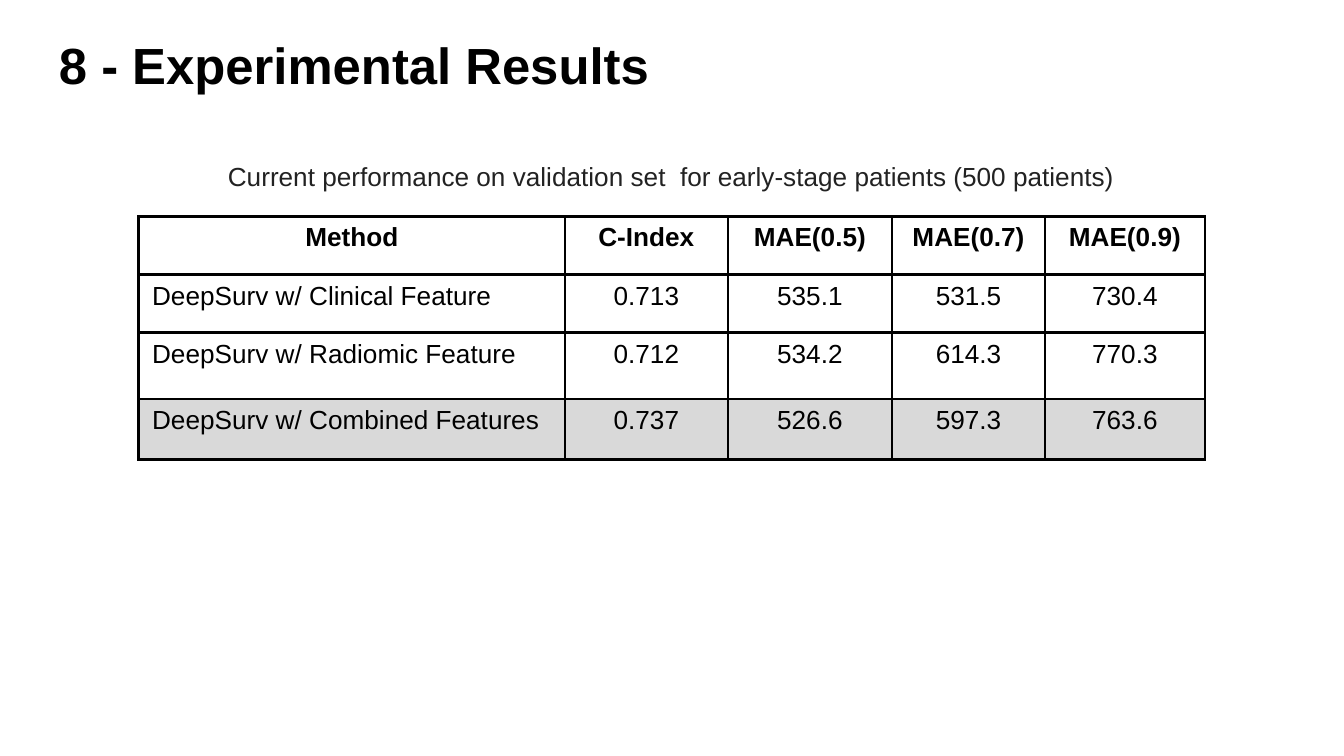
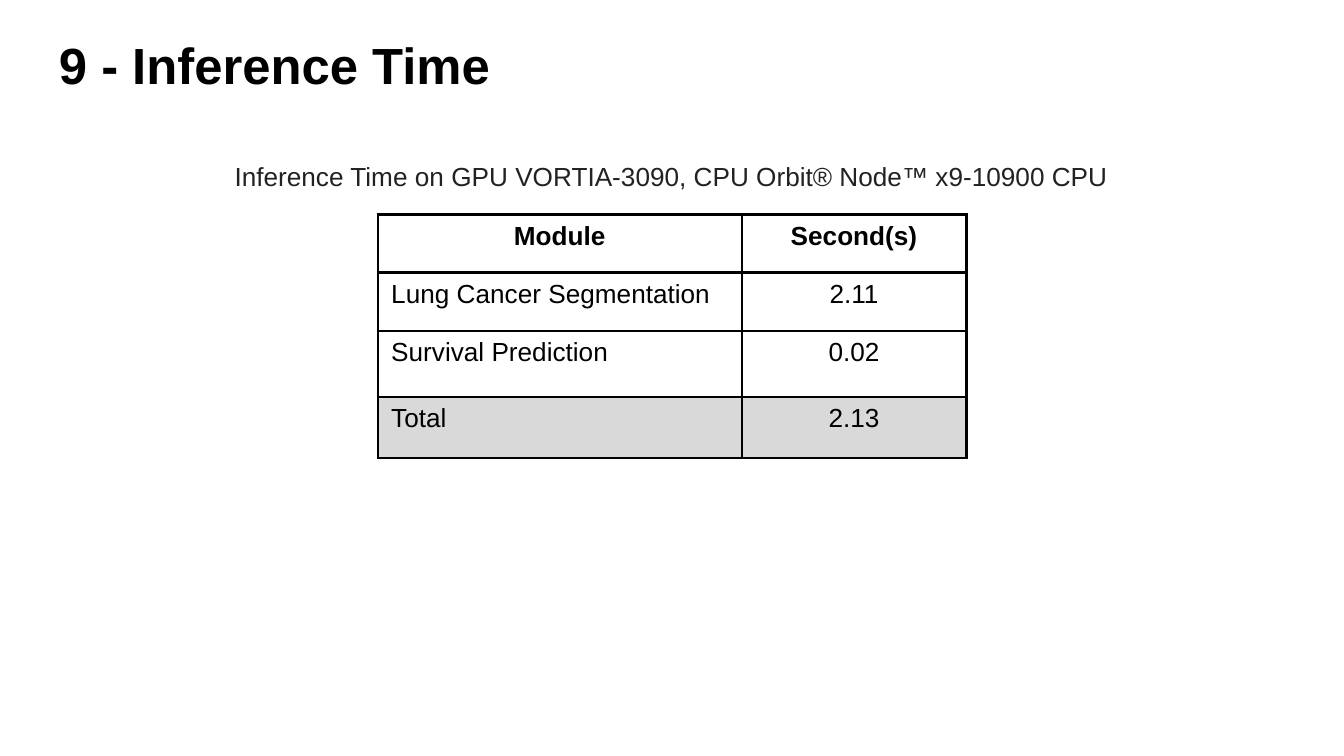
from lxml.etree import SubElement
from pptx import Presentation
from pptx.dml.color import RGBColor
from pptx.enum.text import MSO_ANCHOR, PP_ALIGN
from pptx.oxml.ns import qn
from pptx.util import Pt

BLACK = "000000"
CAPTION_GRAY = "222222"
HIGHLIGHT_GRAY = "D9D9D9"
ROW_HEIGHTS = (31.1, 31.1, 35.6, 32.5)


def color(value):
    return RGBColor.from_string(value)


def write(text_frame, text, size=14, bold=False, fill=BLACK, align=PP_ALIGN.LEFT):
    paragraph = text_frame.paragraphs[0]
    paragraph.alignment = align
    run = paragraph.add_run()
    run.text = text
    run.font.name = "Arial"
    run.font.size = Pt(size)
    run.font.bold = bold
    run.font.color.rgb = color(fill)


def add_borders(cell, width=1.47):
    properties = cell._tc.get_or_add_tcPr()
    for side in ("a:lnL", "a:lnR", "a:lnT", "a:lnB"):
        line = SubElement(properties, qn(side), w=str(Pt(width)))
        solid = SubElement(line, qn("a:solidFill"))
        SubElement(solid, qn("a:srgbClr"), val=BLACK)


class Deck:
    def __init__(self):
        self.presentation = Presentation()
        self.presentation.slide_width = Pt(720)
        self.presentation.slide_height = Pt(405)
        self.slide = None

    def text_box(self, left, top, width, height, text, **style):
        shape = self.slide.shapes.add_textbox(Pt(left), Pt(top), Pt(width), Pt(height))
        frame = shape.text_frame
        frame.word_wrap = True
        frame.vertical_anchor = MSO_ANCHOR.TOP
        frame.margin_left = frame.margin_right = Pt(7.2)
        frame.margin_top = frame.margin_bottom = Pt(7.2)
        write(frame, text, **style)

    def start_slide(self, title):
        layout = self.presentation.slide_layouts[6]
        self.slide = self.presentation.slides.add_slide(layout)
        self.text_box(24.5, 10.8, 671, 45.4, title, size=27.2, bold=True)

    def caption(self, text):
        self.text_box(85, 78.5, 549.4, 31, text,
                      fill=CAPTION_GRAY, align=PP_ALIGN.CENTER)

    def table(self, left, top, widths, rows):
        """Bold header row, left-aligned first column, shaded last row."""
        table = self.slide.shapes.add_table(
            len(rows), len(widths), Pt(left), Pt(top),
            Pt(sum(widths)), Pt(sum(ROW_HEIGHTS))).table
        table.first_row = table.horz_banding = False
        for column, width in zip(table.columns, widths):
            column.width = Pt(width)
        for row, height in zip(table.rows, ROW_HEIGHTS):
            row.height = Pt(height)

        for i, values in enumerate(rows):
            for j, value in enumerate(values):
                cell = table.cell(i, j)
                cell.margin_left = cell.margin_right = Pt(7.2)
                cell.margin_top = cell.margin_bottom = Pt(3.6)
                add_borders(cell)
                if i == len(rows) - 1:
                    cell.fill.solid()
                    cell.fill.fore_color.rgb = color(HIGHLIGHT_GRAY)
                else:
                    cell.fill.background()
                is_label = i > 0 and j == 0
                write(cell.text_frame, value, bold=i == 0,
                      align=PP_ALIGN.LEFT if is_label else PP_ALIGN.CENTER)


def main():
    deck = Deck()

    # Validation results
    deck.start_slide("8 - Experimental Results")
    deck.table(74.3, 116, (228.4, 87.2, 88, 82, 85.6), [
        ("Method", "C-Index", "MAE(0.5)", "MAE(0.7)", "MAE(0.9)"),
        ("DeepSurv w/ Clinical Feature", "0.713", "535.1", "531.5", "730.4"),
        ("DeepSurv w/ Radiomic Feature", "0.712", "534.2", "614.3", "770.3"),
        ("DeepSurv w/ Combined Features", "0.737", "526.6", "597.3", "763.6"),
    ])
    deck.caption("Current performance on validation set  for early-stage patients (500 patients)")

    # Inference time
    deck.start_slide("9 - Inference Time")
    deck.table(202.4, 115, (195, 120.3), [
        ("Module", "Second(s)"),
        ("Lung Cancer Segmentation", "2.11"),
        ("Survival Prediction", "0.02"),
        ("Total", "2.13"),
    ])
    deck.caption("Inference Time on GPU VORTIA-3090, CPU Orbit® Node™ x9-10900 CPU")

    deck.presentation.save("out.pptx")


if __name__ == "__main__":
    main()
